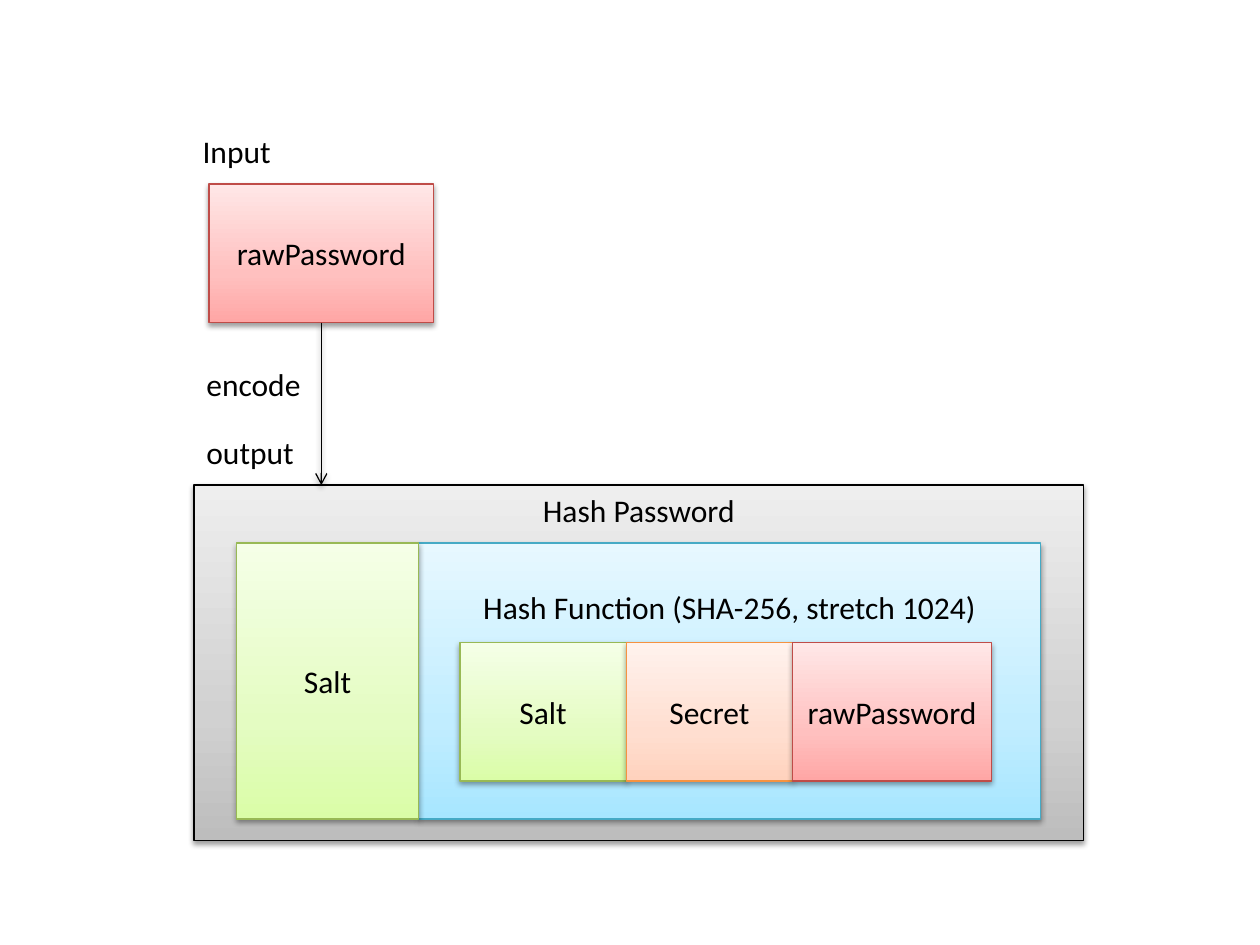
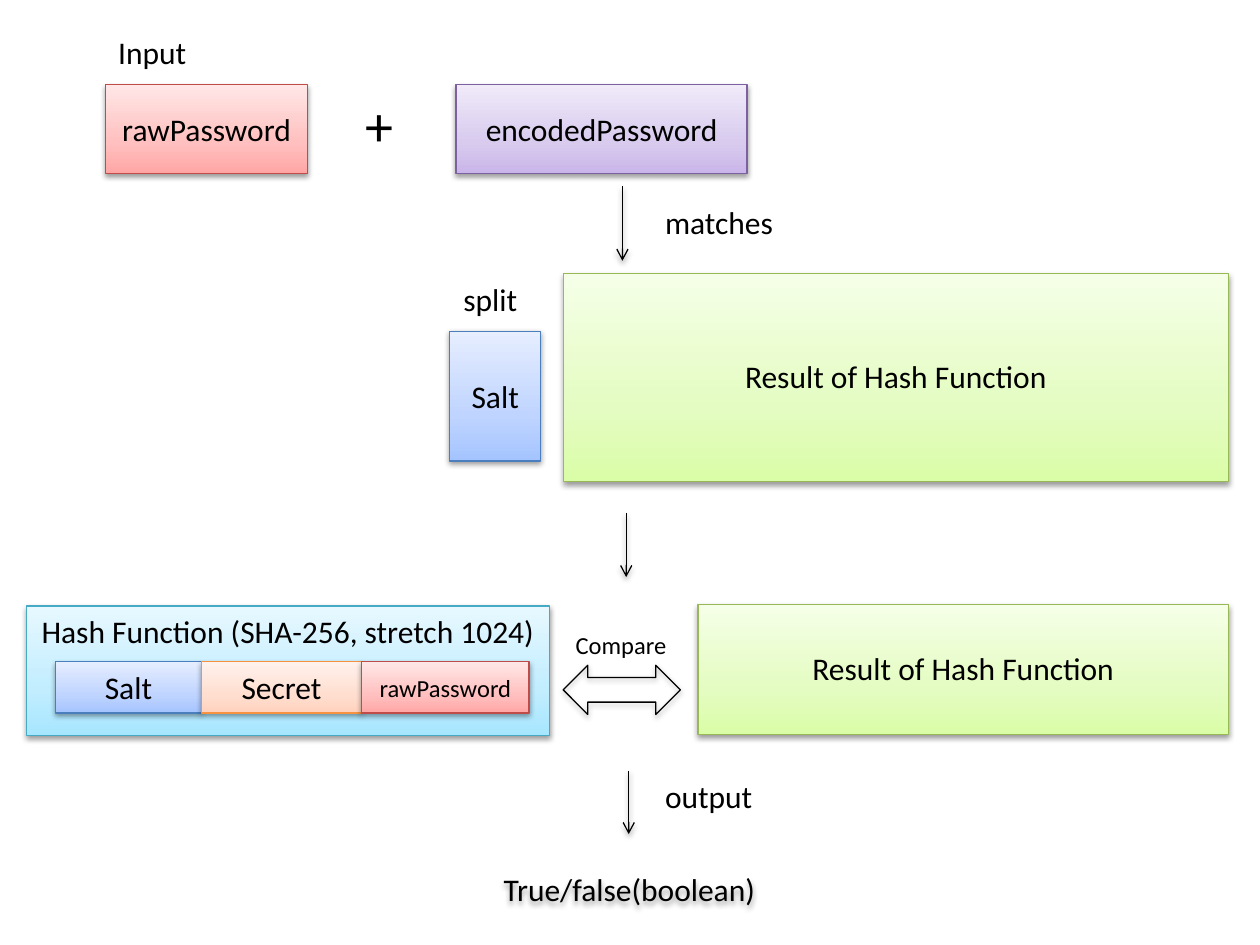
import copy
from dataclasses import dataclass
from typing import NamedTuple, Optional

import pptx
import pptx.dml.color
import pptx.enum.shapes
import pptx.enum.text
import pptx.oxml.ns
import pptx.util
from lxml import etree
from pptx.util import Inches

FONT = "Calibri"
BLACK = "000000"
LINE_HEIGHT = 0.305  # one 18 pt line, in inches
INSET = 0.05
RECTANGLE = pptx.enum.shapes.MSO_SHAPE.RECTANGLE
DOUBLE_ARROW = pptx.enum.shapes.MSO_SHAPE.LEFT_RIGHT_ARROW
HASH_TITLE = "Hash Function (SHA-256, stretch 1024)"
RESULT_TITLE = "Result of Hash Function"


class Paint(NamedTuple):
    bottom: str
    middle: str
    top: str
    outline: str


GRAY = Paint("BDBDBD", "D1D1D1", "EEEEEE", BLACK)
CYAN = Paint("A7E6FF", "C1EDFF", "E7F8FF", "46AAC5")
GREEN = Paint("DAFDA7", "E4FCC2", "F5FFE7", "98B955")
ORANGE = Paint("FFD2BD", "FFDED0", "FFF2ED", "F69240")
RED = Paint("FFA6A5", "FFC0BF", "FFE7E7", "BF4C48")
BLUE = Paint("A4C4FF", "BFD4FF", "E6EEFF", "4B7EBC")
PURPLE = Paint("C9B5E8", "D8CBEE", "F0EAF9", "7D60A0")


@dataclass
class Box:
    text: str
    left: float
    top: float
    width: float
    height: float
    paint: Optional[Paint] = None
    size: int = 18
    lines_above: Optional[int] = None  # None centres the text vertically


@dataclass
class Label:
    text: str
    left: float
    top: float
    width: float
    height: float = 0.4
    size: int = 18


class Segment(NamedTuple):
    text: str
    width: float
    paint: Paint
    size: int = 18


# Shared styling
def color(value: str) -> pptx.dml.color.RGBColor:
    return pptx.dml.color.RGBColor.from_string(value)


def cast_shadow(shape, opacity: int = 38) -> None:
    properties = shape.element.spPr
    tag = pptx.oxml.ns.qn
    effects = properties.find(tag("a:effectLst"))
    if effects is None:
        effects = etree.SubElement(properties, tag("a:effectLst"))
    shadow = etree.SubElement(effects, tag("a:outerShdw"), blurRad="40000",
                              dist="20000", dir="5400000", rotWithShape="0")
    tone = etree.SubElement(shadow, tag("a:srgbClr"), val=BLACK)
    etree.SubElement(tone, tag("a:alpha"), val=str(opacity * 1000))


def set_outline(shape, value: str) -> None:
    shape.line.color.rgb = color(value)
    shape.line.width = pptx.util.Pt(0.75)


def fill_gradient(shape, paint: Paint) -> None:
    shape.fill.gradient()
    shape.fill.gradient_angle = 90
    stops = shape.element.spPr.find(".//" + pptx.oxml.ns.qn("a:gsLst"))
    stops.append(copy.deepcopy(stops[0]))
    tones = zip((0, 0.35, 1), paint[:3])
    for stop, (position, tone) in zip(shape.fill.gradient_stops, tones):
        stop.position = position
        stop.color.rgb = color(tone)


def write(shape, text: str, size: int, centred: bool) -> None:
    align = pptx.enum.text.PP_ALIGN
    para = shape.text_frame.paragraphs[0]
    para.alignment = align.CENTER if centred else align.LEFT
    span = para.add_run()
    span.text = text
    span.font.name = FONT
    span.font.size = pptx.util.Pt(size)
    span.font.color.rgb = color(BLACK)


# Drawing functions
def draw_box(page, box: Box, kind=RECTANGLE, outline: Optional[str] = None,
             opacity: int = 38):
    shape = page.shapes.add_shape(kind, Inches(box.left), Inches(box.top),
                                  Inches(box.width), Inches(box.height))
    shape.shadow.inherit = False
    if box.paint:
        fill_gradient(shape, box.paint)
        outline = box.paint.outline
    else:
        shape.fill.background()
    if outline:
        set_outline(shape, outline)
    else:
        shape.line.fill.background()
    cast_shadow(shape, opacity)
    if box.text:
        frame = shape.text_frame
        frame.word_wrap = True
        anchor = pptx.enum.text.MSO_ANCHOR
        if box.lines_above is None:
            frame.vertical_anchor = anchor.MIDDLE
        else:
            frame.vertical_anchor = anchor.TOP
            frame.margin_top = Inches(INSET + box.lines_above * LINE_HEIGHT)
        write(shape, box.text, box.size, centred=True)
    return shape


def draw_label(page, label: Label) -> None:
    shape = page.shapes.add_textbox(Inches(label.left), Inches(label.top),
                                    Inches(label.width), Inches(label.height))
    shape.text_frame.word_wrap = True
    shape.text_frame.auto_size = pptx.enum.text.MSO_AUTO_SIZE.SHAPE_TO_FIT_TEXT
    write(shape, label.text, label.size, centred=False)


def draw_row(page, left: float, top: float, height: float,
             segments: list[Segment]) -> None:
    for segment in segments:
        draw_box(page, Box(segment.text, left, top, segment.width, height,
                           segment.paint, segment.size))
        left += segment.width


def draw_down_arrow(page, x: float, top: float, bottom: float, source=None) -> None:
    arrow = page.shapes.add_connector(
        pptx.enum.shapes.MSO_CONNECTOR.STRAIGHT,
        Inches(x), Inches(top), Inches(x), Inches(bottom))
    if source is not None:
        arrow.begin_connect(source, 2)
    set_outline(arrow, BLACK)
    etree.SubElement(arrow.line._get_or_add_ln(),
                     pptx.oxml.ns.qn("a:tailEnd"), type="arrow")
    cast_shadow(arrow)


# Slide 1: encoding a password
def build_encode(page) -> None:
    draw_box(page, Box("Hash Password", 1.54, 3.85, 7.06, 2.82, GRAY, lines_above=0))
    draw_box(page, Box(HASH_TITLE, 3.32, 4.31, 4.94, 2.19, CYAN, lines_above=1))
    draw_box(page, Box("Salt", 1.88, 4.31, 1.44, 2.19, GREEN))
    draw_row(page, 3.65, 5.1, 1.1, [
        Segment("Salt", 1.32, GREEN),
        Segment("Secret", 1.32, ORANGE),
        Segment("rawPassword", 1.58, RED),
    ])
    raw_password = draw_box(page, Box("rawPassword", 1.66, 1.46, 1.78, 1.1, RED))
    draw_down_arrow(page, 2.55, 2.56, 3.85, raw_password)
    for label in (Label("Input", 1.51, 1, 2.46),
                  Label("output", 1.54, 3.39, 2.46),
                  Label("encode", 1.54, 2.85, 2.46)):
        draw_label(page, label)


# Slide 2: matching a password
def build_matches(page) -> None:
    for box in (Box(HASH_TITLE, 0.21, 4.81, 4.15, 1.03, CYAN, lines_above=0),
                Box(RESULT_TITLE, 4.47, 2.17, 5.28, 1.65, GREEN, lines_above=2),
                Box("Salt", 3.57, 2.63, 0.72, 1.03, BLUE),
                Box("encodedPassword", 3.62, 0.67, 2.31, 0.71, PURPLE),
                Box("rawPassword", 0.84, 0.67, 1.6, 0.71, RED),
                Box(RESULT_TITLE, 5.54, 4.8, 4.21, 1.03, GREEN, lines_above=1),
                Box("True/false(boolean)", 3.59, 6.8, 2.81, 0.51)):
        draw_box(page, box)
    draw_row(page, 0.44, 5.25, 0.41, [
        Segment("Salt", 1.16, BLUE),
        Segment("Secret", 1.27, ORANGE),
        Segment("rawPassword", 1.33, RED, 14),
    ])
    draw_box(page, Box("", 4.47, 5.28, 0.93, 0.39), DOUBLE_ARROW, BLACK, 35)
    for x, top, bottom in ((4.94, 1.48, 2.07), (4.97, 4.07, 4.58), (4.99, 6.12, 6.62)):
        draw_down_arrow(page, x, top, bottom)
    for label in (Label("Input", 0.84, 0.21, 1.37),
                  Label("+", 2.8, 0.67, 0.78, 0.64, 32),
                  Label("matches", 5.18, 1.56, 2.19),
                  Label("split", 3.58, 2.17, 0.76),
                  Label("output", 5.18, 6.12, 2.46),
                  Label("Compare", 4.47, 4.95, 1.95, 0.34, 14)):
        draw_label(page, label)


def main() -> None:
    deck = pptx.Presentation()
    deck.slide_width = Inches(10)
    deck.slide_height = Inches(7.5)
    blank = deck.slide_layouts[6]
    for build in (build_encode, build_matches):
        build(deck.slides.add_slide(blank))
    deck.save("out.pptx")


if __name__ == "__main__":
    main()
